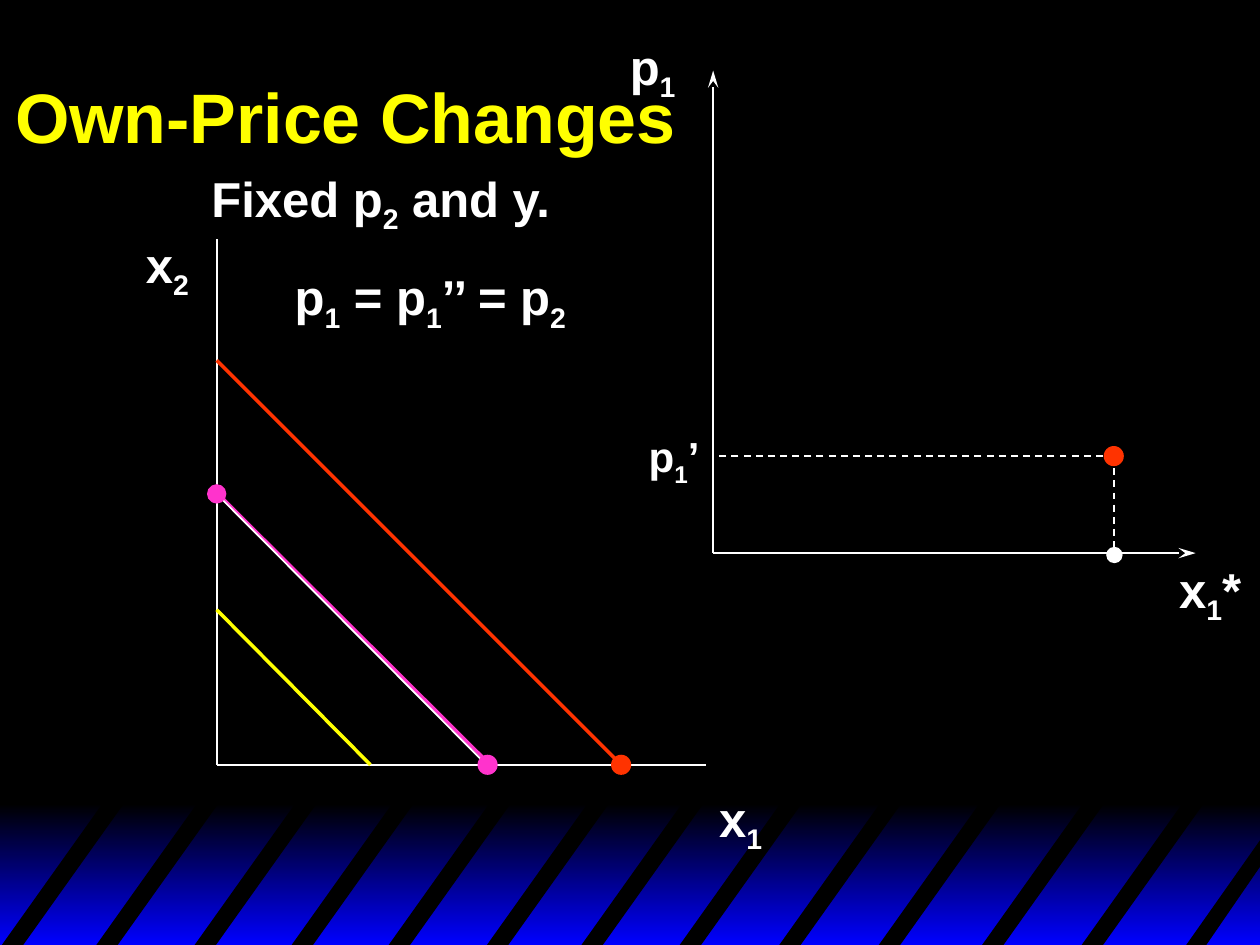
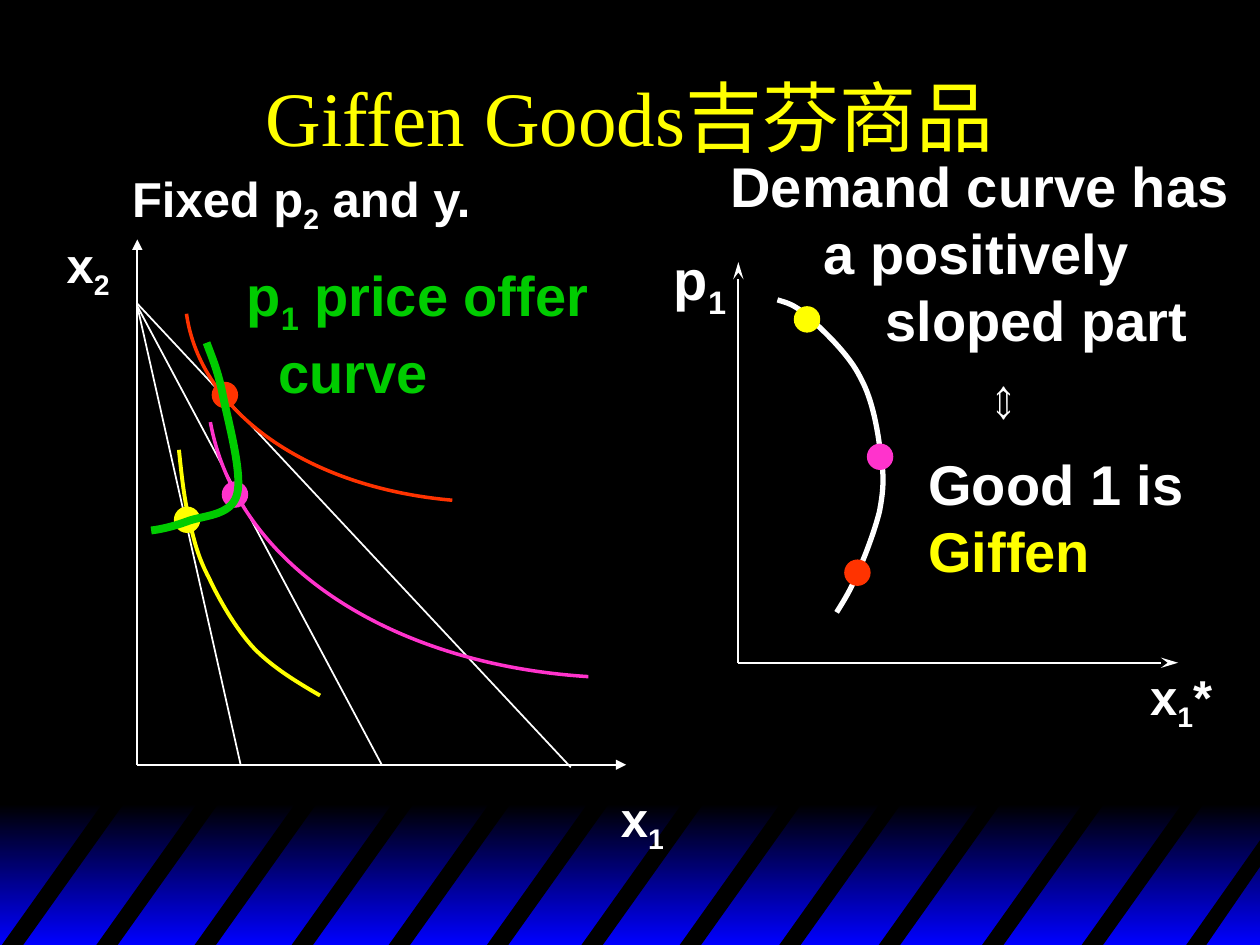
import pptx
import pptx.dml.color
import pptx.enum.dml
import pptx.enum.shapes
import pptx.enum.text
import pptx.oxml
import pptx.oxml.ns
import pptx.util
from pptx.util import Inches

COLOURS = {
    "black": "000000", "blue": "0000FF", "white": "FFFFFF", "yellow": "FFFF00",
    "red": "FF3300", "pink": "FF33CC", "green": "00CC00",
}
STRIPE_LEFTS = [0, 0.75, 1.53, 2.3, 3.07, 3.85, 4.6, 5.38, 6.17, 6.96, 7.78, 8.57]
STRIPE_TOP, STRIPE_BOTTOM = 6.34, 7.52
STRIPE_WIDTH, STRIPE_LEAN = 0.17, 0.84
HEAD_LENGTHS = {"triangle": "med", "stealth": "lg"}
PRICE_DOT, BUNDLE_DOT = 0.16, 0.21


def rgb(name):
    return pptx.dml.color.RGBColor.from_string(COLOURS[name])


def add_outline(page, points, closed):
    """Join points, given in inches, by straight segments."""
    corners = [(Inches(x), Inches(y)) for x, y in points]
    builder = page.shapes.build_freeform(*corners[0], scale=1.0)
    builder.add_line_segments(corners[1:], close=closed)
    shape = builder.convert_to_shape()
    shape.shadow.inherit = False
    return shape


def add_stripe(page, points):
    stripe = add_outline(page, points, closed=True)
    stripe.fill.solid()
    stripe.fill.fore_color.rgb = rgb("black")
    stripe.line.fill.background()
    return stripe


def add_footer_band(page):
    band = page.shapes.add_shape(
        pptx.enum.shapes.MSO_SHAPE.RECTANGLE,
        0, Inches(6.38), Inches(10.02), Inches(1.12))
    band.shadow.inherit = False
    band.line.fill.background()
    band.fill.gradient()
    band.fill.gradient_angle = 270
    for stop, name in zip(band.fill.gradient_stops, ("black", "blue")):
        stop.color.rgb = rgb(name)
    stripes = [
        add_stripe(page, [
            (left, STRIPE_BOTTOM),
            (left + STRIPE_LEAN, STRIPE_TOP),
            (left + STRIPE_LEAN + STRIPE_WIDTH, STRIPE_TOP),
            (left + STRIPE_WIDTH, STRIPE_BOTTOM)])
        for left in STRIPE_LEFTS]
    last = add_stripe(page, [(9.4, 7.52), (10.02, 6.64), (10.02, 6.85), (9.56, 7.52)])
    return [band, *stripes, last]


def style_master(deck, page):
    """Set the background and move a footer band drawn on page to the master."""
    master = deck.slide_master
    master.background.fill.solid()
    master.background.fill.fore_color.rgb = rgb("black")
    for index, shape in enumerate(add_footer_band(page)):
        element = shape.element
        element.nvSpPr.cNvPr.set("id", str(100 + index))
        master.shapes.element.insert(2 + index, element)


def set_font(para, size, colour, name="Arial", bold=True):
    para.font.name = name
    para.font.size = pptx.util.Pt(size)
    para.font.bold = bold
    para.font.color.rgb = rgb(colour)


def set_title(page, text, left, size, name, bold, alignment):
    title = page.shapes.title
    title.left, title.top = Inches(left), Inches(0.25)
    title.width, title.height = Inches(8.5), Inches(1.33)
    frame = title.text_frame
    frame.text = text
    frame.auto_size = pptx.enum.text.MSO_AUTO_SIZE.NONE
    frame.vertical_anchor = pptx.enum.text.MSO_ANCHOR.MIDDLE
    para = frame.paragraphs[0]
    para.alignment = alignment
    set_font(para, size, name=name, bold=bold, colour="yellow")


def add_spans(para, text):
    """Fill para; an underscore lowers the next character, a newline breaks the line."""
    for index, line in enumerate(text.split("\n")):
        if index:
            para.add_line_break()
        first, *rest = line.split("_")
        para.add_run().text = first
        for piece in rest:
            subscript = para.add_run()
            subscript.text = piece[0]
            subscript.font._element.set("baseline", "-25000")
            if piece[1:]:
                para.add_run().text = piece[1:]


def add_label(page, at, *paragraphs, size=28, colour="white"):
    """Each paragraph is a text or a tuple of text, left margin and first-line shift."""
    box = page.shapes.add_textbox(*(Inches(length) for length in at))
    frame = box.text_frame
    frame.word_wrap = False
    frame.auto_size = pptx.enum.text.MSO_AUTO_SIZE.SHAPE_TO_FIT_TEXT
    for index, content in enumerate(paragraphs):
        text, margin, shift = (content, 0, 0) if isinstance(content, str) else content
        para = frame.add_paragraph() if index else frame.paragraphs[0]
        if margin:
            properties = para._p.get_or_add_pPr()
            properties.set("marL", str(Inches(margin)))
            properties.set("indent", str(Inches(shift)))
        add_spans(para, text)
        set_font(para, size, colour)
    return box


def add_line(page, start, end, colour="white", width=1, dashed=False, arrow=None):
    line = page.shapes.add_connector(
        pptx.enum.shapes.MSO_CONNECTOR.STRAIGHT,
        *(Inches(length) for length in (*start, *end)))
    line.line.color.rgb = rgb(colour)
    line.line.width = pptx.util.Pt(width)
    if dashed:
        line.line.dash_style = pptx.enum.dml.MSO_LINE.DASH
    namespace = pptx.oxml.ns.nsdecls("a")
    if arrow:
        line.line._get_or_add_ln().append(pptx.oxml.parse_xml(
            f'<a:tailEnd {namespace} type="{arrow}" len="{HEAD_LENGTHS[arrow]}"/>'))
    line.element.spPr.append(pptx.oxml.parse_xml(f"<a:effectLst {namespace}/>"))


def add_axes(page, origin, top, right, arrow=None):
    x, y = origin
    add_line(page, origin, (x, top), arrow=arrow)
    add_line(page, origin, (right, y), arrow=arrow)


def add_dot(page, left, top, diameter, colour):
    dot = page.shapes.add_shape(
        pptx.enum.shapes.MSO_SHAPE.OVAL,
        *(Inches(length) for length in (left, top, diameter, diameter)))
    dot.shadow.inherit = False
    dot.fill.solid()
    dot.fill.fore_color.rgb = rgb(colour)
    dot.line.fill.background()
    return dot


def add_curve(page, controls, colour, width):
    """Draw joined cubic Bezier curves: a start, then three points for each."""
    curve = add_outline(page, controls, closed=False)
    curve.fill.background()
    curve.line.color.rgb = rgb(colour)
    curve.line.width = pptx.util.Pt(width)
    outline = curve.element.xpath(".//a:path")[0]
    segments = outline.findall(pptx.oxml.ns.qn("a:lnTo"))
    for first in range(0, len(segments), 3):
        bezier = pptx.oxml.parse_xml(
            f'<a:cubicBezTo {pptx.oxml.ns.nsdecls("a")}/>')
        for segment in segments[first:first + 3]:
            bezier.append(segment[0])
            outline.remove(segment)
        outline.append(bezier)


def build_own_price(page):
    set_title(page, "Own-Price Changes", 0.02, 40, "Arial", True,
              pptx.enum.text.PP_ALIGN.LEFT)
    add_axes(page, (1.72, 6.07), 1.9, 5.6)
    add_label(page, (1.06, 1.81, 0.54, 0.63), "x_2")
    for top, end, colour in ((2.86, (4.95, 6.09), "red"),
                             (3.91, (3.91, 6.09), "pink"),
                             (4.84, (2.94, 6.07), "yellow")):
        add_line(page, (1.72, top), end, colour, 2)
    add_label(page, (5.61, 6.21, 0.54, 0.63), "x_1")

    add_axes(page, (5.66, 4.39), 0.56, 9.49, "stealth")
    add_label(page, (4.9, 0.24, 0.56, 0.63), "p_1")
    add_line(page, (8.85, 3.62), (5.68, 3.62), dashed=True)
    add_line(page, (8.84, 3.62), (8.84, 4.4), dashed=True)
    add_label(page, (9.26, 4.39, 0.69, 0.63), "x_1*")
    add_label(page, (1.58, 1.29, 2.92, 0.63), "Fixed p_2 and y.")
    add_label(page, (5.05, 3.37, 0.61, 0.56), "p_1’", size=24)
    add_dot(page, 8.78, 4.34, 0.13, "white")
    add_dot(page, 8.76, 3.54, PRICE_DOT, "red")
    add_label(page, (2.24, 2.07, 2.39, 0.63), "p_1 = p_1’’ = p_2")
    add_dot(page, 4.85, 5.99, PRICE_DOT, "red")
    add_line(page, (1.72, 3.92), (3.88, 6.09))
    intercept = add_dot(page, 1.65, 3.85, 0.14, "pink")
    intercept.line.color.rgb = rgb("pink")
    intercept.line.width = pptx.util.Pt(1)
    add_dot(page, 3.79, 5.99, PRICE_DOT, "pink")


def build_giffen(page):
    add_curve(page, [
        (6.17, 2.38), (6.23, 2.4), (6.3, 2.41), (6.41, 2.51),
        (6.52, 2.61), (6.74, 2.81), (6.83, 3),
        (6.93, 3.18), (6.97, 3.44), (6.99, 3.61),
        (7.02, 3.79), (7.01, 3.9), (6.98, 4.06),
        (6.94, 4.22), (6.86, 4.43), (6.8, 4.56),
        (6.75, 4.69), (6.67, 4.81), (6.64, 4.86)], "white", 3)
    set_title(page, "Giffen Goods吉芬商品", 0.75, 44, "Times New Roman", False,
              pptx.enum.text.PP_ALIGN.CENTER)
    add_label(page, (0.95, 1.29, 2.92, 0.63), "Fixed p_2 and y.")
    add_axes(page, (1.09, 6.07), 1.9, 4.97, "triangle")
    add_label(page, (4.83, 6.21, 0.54, 0.63), "x_1")
    add_label(page, (0.43, 1.81, 0.54, 0.63), "x_2")
    for top, end in ((2.41, (4.53, 6.09)), (2.43, (3.03, 6.07)), (2.43, (1.91, 6.07))):
        add_line(page, (1.09, top), end)
    add_curve(page, [(3.59, 3.97), (2.44, 3.87), (1.59, 3.27), (1.48, 2.49)], "red", 2)
    add_curve(page, [(4.67, 5.37), (3.07, 5.27), (1.87, 4.46), (1.67, 3.35)], "pink", 2)
    for left, top, colour in ((1.38, 4.02, "yellow"), (1.76, 3.82, "pink"),
                              (1.68, 3.03, "red")):
        add_dot(page, left, top, BUNDLE_DOT, colour)
    add_label(page, (1.86, 2.02, 2.92, 1.24),
              "p_1 price offer", ("curve", 0.25, 0), size=32, colour="green")

    add_axes(page, (5.86, 5.26), 2.08, 9.35, "stealth")
    add_label(page, (9.03, 5.24, 0.69, 0.63), "x_1*")
    add_label(page, (5.7, 1.15, 4.16, 1.7),
              ("Demand curve has\na positively", 0.74, -0.74),
              ("sloped part", 1.23, 0), size=32)
    verdict = add_label(page, (7.27, 3.52, 2.23, 1.17), "Good 1 is\nGiffen", size=32)
    verdict.text_frame.paragraphs[0].runs[-1].font.color.rgb = rgb("yellow")
    add_label(page, (7.72, 2.88, 0.62, 0.63), "⇔", size=32).rotation = 90
    add_label(page, (5.25, 1.89, 0.62, 0.71), "p_1", size=32)
    for left, top, colour in ((6.3, 2.43, "yellow"), (6.7, 4.44, "red"),
                              (6.88, 3.52, "pink")):
        add_dot(page, left, top, BUNDLE_DOT, colour)
    add_curve(page, [
        (1.42, 3.57), (1.44, 3.76), (1.46, 3.95), (1.5, 4.12),
        (1.54, 4.29), (1.57, 4.42), (1.66, 4.59),
        (1.74, 4.76), (1.87, 4.99), (2.02, 5.15),
        (2.17, 5.3), (2.35, 5.41), (2.54, 5.52)], "yellow", 2.25)
    add_curve(page, [
        (1.2, 4.21), (1.28, 4.2), (1.37, 4.18), (1.48, 4.14),
        (1.6, 4.09), (1.83, 4.1), (1.88, 3.93),
        (1.93, 3.77), (1.81, 3.34), (1.77, 3.14),
        (1.73, 2.94), (1.68, 2.83), (1.64, 2.72)], "green", 4.5)


def main():
    deck = pptx.Presentation()
    deck.slide_width, deck.slide_height = Inches(10), Inches(7.5)
    title_only = deck.slide_layouts[5]
    own_price, giffen = (deck.slides.add_slide(title_only) for _ in range(2))
    style_master(deck, own_price)
    build_own_price(own_price)
    build_giffen(giffen)
    deck.save("out.pptx")


if __name__ == "__main__":
    main()
